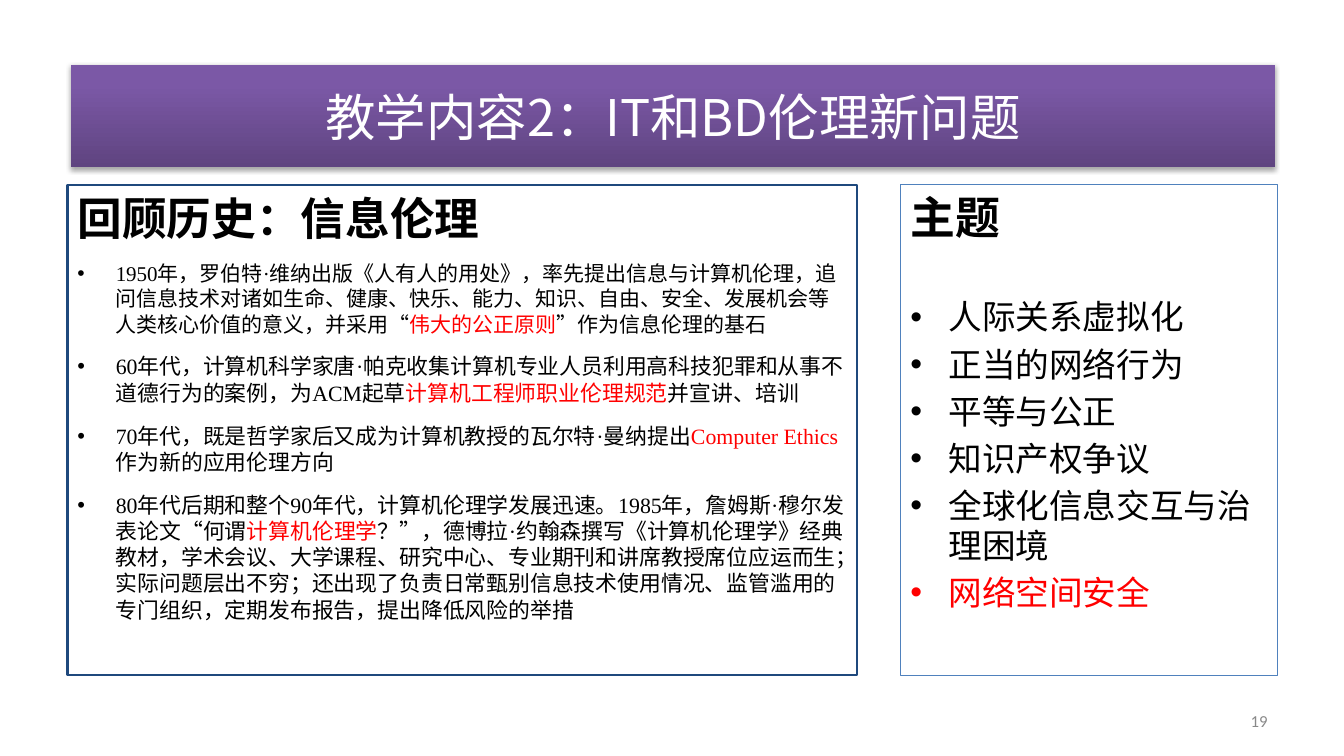
import pptx
import pptx.util
import pptx.dml.color
import pptx.enum.shapes
import pptx.enum.text
import pptx.oxml

Color = pptx.dml.color.RGBColor
Pt = pptx.util.Pt
Align = pptx.enum.text.PP_ALIGN
Anchor = pptx.enum.text.MSO_ANCHOR

BLACK = Color(0x00, 0x00, 0x00)
WHITE = Color(0xFF, 0xFF, 0xFF)
RED = Color(0xFF, 0x00, 0x00)
GRAY = Color(0x89, 0x89, 0x89)
NAVY = Color(0x1F, 0x49, 0x7D)
BLUE = Color(0x4F, 0x81, 0xBD)
STOPS = [
    (0, Color(0x5F, 0x44, 0x80)),
    (80, Color(0x7B, 0x58, 0xA6)),
    (100, Color(0x7C, 0x57, 0xA8)),
]
SERIF = "Times New Roman"
SANS = "Noto Sans CJK SC"
NS = 'xmlns:a="http://schemas.openxmlformats.org/drawingml/2006/main"'

HISTORY = [
    (15, [
        ("1950年，罗伯特·维纳出版《人有人的用处》，率先提出信息与计算机伦理，追问信息技术对诸如"
         "生命、健康、快乐、能力、知识、自由、安全、发展机会等人类核心价值的意义，并采用“", BLACK),
        ("伟大的公正原则", RED),
        ("”作为信息伦理的基石", BLACK),
    ]),
    (15.6, [
        ("60年代，计算机科学家唐·帕克收集计算机专业人员利用高科技犯罪和从事不道德行为的案例，"
         "为ACM起草", BLACK),
        ("计算机工程师职业伦理规范", RED),
        ("并宣讲、培训", BLACK),
    ]),
    (15.6, [
        ("70年代，既是哲学家后又成为计算机教授的瓦尔特·曼纳提出", BLACK),
        ("Computer Ethics", RED),
        ("作为新的应用伦理方向", BLACK),
    ]),
    (15.6, [
        ("80年代后期和整个90年代，计算机伦理学发展迅速。1985年，詹姆斯·穆尔发表论文“何谓", BLACK),
        ("计算机伦理学", RED),
        ("？”，德博拉·约翰森撰写《计算机伦理学》经典教材，学术会议、大学课程、研究中心、专业期刊"
         "和讲席教授席位应运而生；实际问题层出不穷；还出现了负责日常甄别信息技术使用情况、监管滥用的"
         "专门组织，定期发布报告，提出降低风险的举措", BLACK),
    ]),
]
TOPICS = [
    ("人际关系虚拟化", BLACK),
    ("正当的网络行为", BLACK),
    ("平等与公正", BLACK),
    ("知识产权争议", BLACK),
    ("全球化信息交互与治理困境", BLACK),
    ("网络空间安全", RED),
]


class Deck:
    """Hold the style and the current slide, and draw each kind of element."""

    scale = 9144

    def __init__(self, wide, high):
        self.show = pptx.Presentation()
        self.show.slide_width = self.px(wide)
        self.show.slide_height = self.px(high)
        self.slide = self.show.slides.add_slide(self.show.slide_layouts[6])

    def px(self, size):
        return pptx.util.Emu(size * self.scale)

    def rect(self, *spot):
        kind = pptx.enum.shapes.MSO_SHAPE.RECTANGLE
        shape = self.slide.shapes.add_shape(kind, *map(self.px, spot))
        shape.shadow.inherit = False
        return shape

    def style(self, font, name, size, color, bold=False):
        font.name = name
        font.size = Pt(size)
        font.bold = bold
        font.color.rgb = color

    def line(self, shape, text, align, anchor, *look):
        frame = shape.text_frame
        frame.word_wrap = True
        frame.vertical_anchor = anchor
        frame.text = text
        para = frame.paragraphs[0]
        para.alignment = align
        self.style(para.runs[0].font, *look)

    def banner(self, spot, text):
        shape = self.rect(*spot)
        shape.line.fill.background()
        stops = "".join(
            f'<a:gs pos="{at * 1000}"><a:srgbClr val="{color}"/></a:gs>'
            for at, color in STOPS)
        fill = pptx.oxml.parse_xml(
            f'<a:gradFill {NS} rotWithShape="1"><a:gsLst>{stops}</a:gsLst>'
            '<a:lin ang="16200000" scaled="0"/></a:gradFill>')
        props = shape.element.spPr
        props.insert(2, fill)
        shade = pptx.oxml.parse_xml(
            f'<a:outerShdw {NS} blurRad="40000" dist="23000" dir="5400000" '
            'rotWithShape="0"><a:srgbClr val="000000"><a:alpha val="35000"/>'
            '</a:srgbClr></a:outerShdw>')
        props.find(pptx.oxml.ns.qn("a:effectLst")).append(shade)
        self.line(shape, text, Align.CENTER, Anchor.MIDDLE, SANS, 36, WHITE)

    def panel(self, spot, color, width, title, size):
        shape = self.rect(*spot)
        shape.fill.background()
        shape.line.color.rgb = color
        shape.line.width = Pt(width)
        self.line(shape, title, Align.LEFT, Anchor.TOP, SERIF, size, BLACK, True)
        return shape.text_frame

    def bullet(self, frame, size, parts, gap):
        para = frame.add_paragraph()
        props = para._p.get_or_add_pPr()
        props.set("marL", str(self.px(38)))
        props.set("indent", str(self.px(-38)))
        for tag in ('buFont typeface="Arial"', 'buChar char="•"'):
            props.append(pptx.oxml.parse_xml(f"<a:{tag} {NS}/>"))
        para.alignment = Align.LEFT
        para.space_before = Pt(gap)
        for text, color in parts:
            run = para.add_run()
            run.text = text
            self.style(run.font, SERIF, size, color)

    def label(self, spot, text):
        box = self.slide.shapes.add_textbox(*map(self.px, spot))
        self.line(box, text, Align.RIGHT, Anchor.MIDDLE, "Calibri", 12, GRAY)


def main():
    deck = Deck(1333, 750)
    past = deck.panel((67, 184, 783, 486), NAVY, 1.5, "回顾历史：信息伦理", 31.9)
    for size, parts in HISTORY:
        deck.bullet(past, size, parts, 12)
    theme = deck.panel((893, 183, 374, 487), BLUE, 0.75, "主题", 32)
    for rank, topic in enumerate(TOPICS):
        deck.bullet(theme, 24, [topic], 4.8 if rank else 38)
    deck.banner((70, 64, 1195, 102), "教学内容2：IT和BD伦理新问题")
    deck.label((956, 695, 311, 40), "19")
    deck.show.save("out.pptx")


if __name__ == "__main__":
    main()
